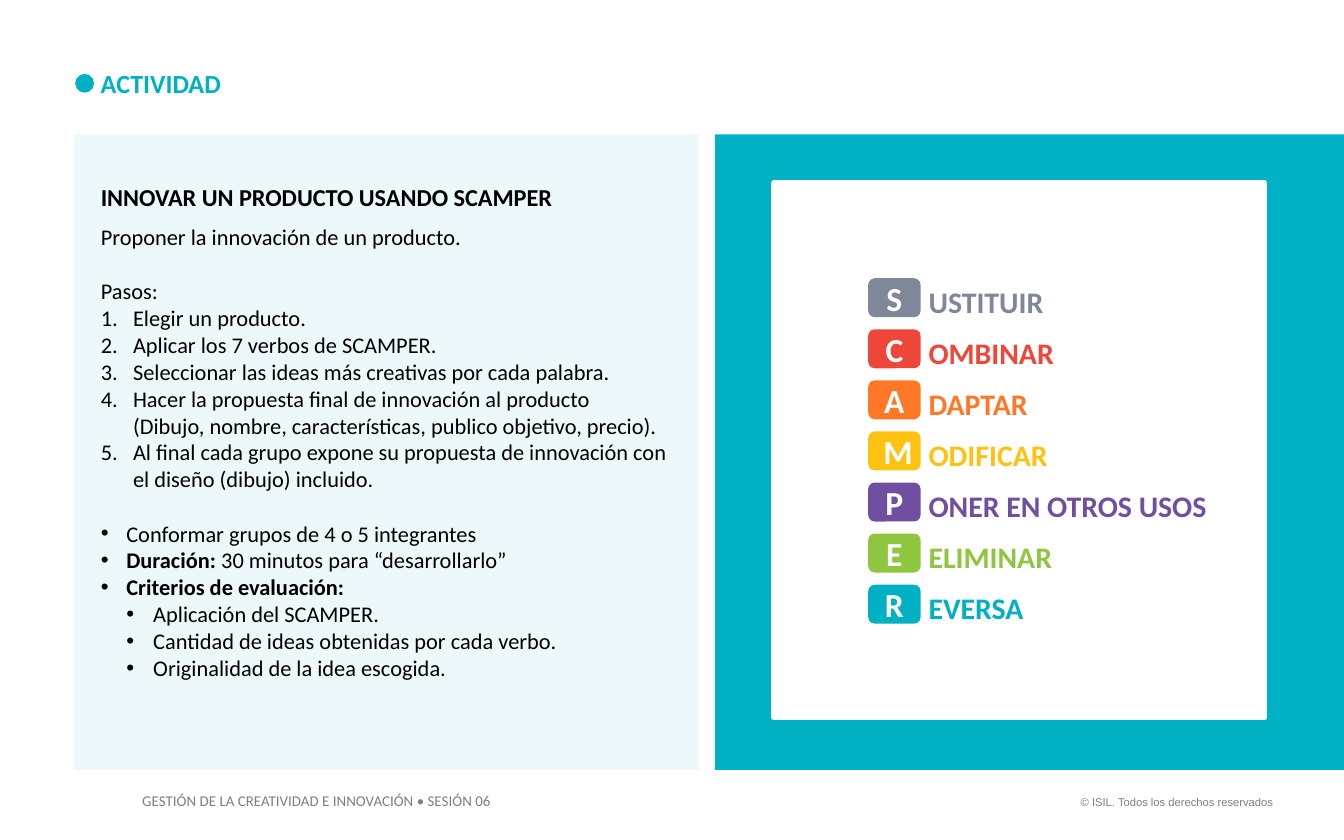
from dataclasses import dataclass
from typing import Optional

from lxml import etree
from pptx import Presentation
from pptx.dml.color import RGBColor
from pptx.enum.shapes import MSO_SHAPE
from pptx.enum.text import MSO_ANCHOR, PP_ALIGN
from pptx.oxml.ns import qn
from pptx.shapes.autoshape import Shape
from pptx.slide import Slide
from pptx.text.text import _Paragraph
from pptx.util import Emu, Pt

EMU_PER_PX = 9144  # 100 px to the inch
RECTANGLE, ROUNDED, OVAL = MSO_SHAPE.RECTANGLE, MSO_SHAPE.ROUNDED_RECTANGLE, MSO_SHAPE.OVAL
LEFT, CENTER, RIGHT = PP_ALIGN.LEFT, PP_ALIGN.CENTER, PP_ALIGN.RIGHT
MIDDLE = MSO_ANCHOR.MIDDLE

BLACK = RGBColor(0x00, 0x00, 0x00)
WHITE = RGBColor(0xFF, 0xFF, 0xFF)
GRAY = RGBColor(0x7F, 0x7F, 0x7F)
PANEL_TEAL = RGBColor(0x00, 0xB2, 0xC4)
TEAL = RGBColor(0x00, 0xB1, 0xC3)
PALE_BLUE = RGBColor(0xD1, 0xEF, 0xF4)
SLATE = RGBColor(0x80, 0x87, 0x99)
RED = RGBColor(0xEE, 0x46, 0x39)
ORANGE = RGBColor(0xFF, 0x78, 0x28)
YELLOW = RGBColor(0xFE, 0xC2, 0x12)
PURPLE = RGBColor(0x71, 0x4F, 0xA0)
GREEN = RGBColor(0x8E, 0xC6, 0x40)

BLANK_LINE = 14.65  # height of one 12 pt line, in points
VERB_TOP, VERB_PITCH = 207, 38


@dataclass(frozen=True)
class Box:
    left: int
    top: int
    width: int
    height: int


@dataclass(frozen=True)
class TextStyle:
    size: int
    color: RGBColor
    bold: bool = False
    font: str = "Calibri"
    align: PP_ALIGN = LEFT


@dataclass(frozen=True)
class ListStyle:
    margin: int
    hanging: int
    bullet: Optional[str] = None  # None numbers the items


@dataclass(frozen=True)
class Line:
    text: str
    list_style: Optional[ListStyle] = None
    lead: str = ""  # bold words before the text
    space_before: float = 0


@dataclass(frozen=True)
class Verb:
    initial: str
    rest: str
    color: RGBColor


HEADING = TextStyle(13, BLACK, bold=True)
BODY = TextStyle(12, BLACK)
STEP = ListStyle(24, 24)
POINT = ListStyle(19, 19, "•")
SUBPOINT = ListStyle(39, 20, "•")

LINES = [
    Line("Proponer la innovación de un producto.", space_before=6),
    Line("Pasos:", space_before=BLANK_LINE),
    Line("Elegir un producto.", STEP),
    Line("Aplicar los 7 verbos de SCAMPER.", STEP),
    Line("Seleccionar las ideas más creativas por cada palabra.", STEP),
    Line("Hacer la propuesta final de innovación al producto\n"
         "(Dibujo, nombre, características, publico objetivo, precio).", STEP),
    Line("Al final cada grupo expone su propuesta de innovación con "
         "el diseño (dibujo) incluido.", STEP),
    Line("Conformar grupos de 4 o 5 integrantes", POINT, space_before=BLANK_LINE),
    Line("30 minutos para “desarrollarlo”", POINT, lead="Duración: "),
    Line("", POINT, lead="Criterios de evaluación:"),
    Line("Aplicación del SCAMPER.", SUBPOINT),
    Line("Cantidad de ideas obtenidas por cada verbo.", SUBPOINT),
    Line("Originalidad de la idea escogida.", SUBPOINT),
]

VERBS = [
    Verb("S", "USTITUIR", SLATE),
    Verb("C", "OMBINAR", RED),
    Verb("A", "DAPTAR", ORANGE),
    Verb("M", "ODIFICAR", YELLOW),
    Verb("P", "ONER EN OTROS USOS", PURPLE),
    Verb("E", "ELIMINAR", GREEN),
    Verb("R", "EVERSA", TEAL),
]


def px(length: int) -> Emu:
    return Emu(length * EMU_PER_PX)


def place(box: Box) -> tuple[Emu, Emu, Emu, Emu]:
    return px(box.left), px(box.top), px(box.width), px(box.height)


def style_paragraph(paragraph: _Paragraph, style: TextStyle) -> None:
    paragraph.alignment = style.align
    font = paragraph.font
    font.name, font.size, font.bold = style.font, Pt(style.size), style.bold
    font.color.rgb = style.color


def add_filled_shape(slide: Slide, kind: MSO_SHAPE, box: Box, color: RGBColor) -> Shape:
    shape = slide.shapes.add_shape(kind, *place(box))
    shape.shadow.inherit = False
    shape.fill.solid()
    shape.fill.fore_color.rgb = color
    shape.line.fill.background()
    return shape


def add_text(slide: Slide, box: Box, text: str, style: TextStyle,
             inset_x: int = 0, inset_y: int = 0) -> Shape:
    shape = slide.shapes.add_textbox(*place(box))
    frame = shape.text_frame
    frame.word_wrap = True
    frame.margin_left = frame.margin_right = px(inset_x)
    frame.margin_top = frame.margin_bottom = px(inset_y)
    frame.text = text
    style_paragraph(frame.paragraphs[0], style)
    return shape


def set_opacity(shape: Shape, percent: int) -> None:
    color = shape.fill._xPr.find(qn("a:solidFill"))[0]
    etree.SubElement(color, qn("a:alpha"), val=str(percent * 1000))


def add_list_mark(paragraph: _Paragraph, style: ListStyle) -> None:
    properties = paragraph._p.get_or_add_pPr()
    properties.set("marL", str(px(style.margin)))
    properties.set("indent", str(-px(style.hanging)))
    mark_color = etree.SubElement(properties, qn("a:buClr"))
    etree.SubElement(mark_color, qn("a:srgbClr"), val=str(BLACK))
    etree.SubElement(properties, qn("a:buFont"), typeface="Arial" if style.bullet else "+mj-lt")
    if style.bullet:
        etree.SubElement(properties, qn("a:buChar"), char=style.bullet)
    else:
        etree.SubElement(properties, qn("a:buAutoNum"), type="arabicPeriod")


def add_line(shape: Shape, line: Line) -> None:
    paragraph = shape.text_frame.add_paragraph()
    paragraph.space_before = Pt(line.space_before)
    if line.list_style:
        add_list_mark(paragraph, line.list_style)
    style_paragraph(paragraph, BODY)
    if line.lead:
        lead = paragraph.add_run()
        lead.text = line.lead
        lead.font.bold = True
    if line.text:
        for index, part in enumerate(line.text.split("\n")):
            if index:
                paragraph.add_line_break()
            paragraph.add_run().text = part


def add_verb(slide: Slide, verb: Verb, top: int) -> None:
    badge = add_filled_shape(slide, ROUNDED, Box(646, top, 39, 29), verb.color)
    badge.adjustments[0] = 0.17
    badge.text_frame.text = verb.initial
    badge.text_frame.vertical_anchor = MIDDLE
    style_paragraph(badge.text_frame.paragraphs[0],
                    TextStyle(18, WHITE, bold=True, align=CENTER))
    add_text(slide, Box(691, top + 4, 226, 27), verb.rest, TextStyle(16, verb.color, bold=True))


def main() -> None:
    presentation = Presentation()
    presentation.slide_width, presentation.slide_height = px(1000), px(625)
    slide = presentation.slides.add_slide(presentation.slide_layouts[6])

    add_text(slide, Box(788, 587, 169, 20), "© ISIL. Todos los derechos reservados",
             TextStyle(6, GRAY, font="Arial", align=RIGHT), 10, 5)
    add_text(slide, Box(96, 584, 285, 24),
             "GESTIÓN DE LA CREATIVIDAD E INNOVACIÓN • SESIÓN 06", TextStyle(8, GRAY), 10, 5)

    title = add_text(slide, Box(75, 53, 100, 21), "ACTIVIDAD", TextStyle(14, TEAL, bold=True))
    title.text_frame.paragraphs[0].line_spacing = 0.9
    add_filled_shape(slide, OVAL, Box(56, 55, 14, 14), TEAL)

    activity_panel = add_filled_shape(slide, RECTANGLE, Box(55, 100, 465, 473), PALE_BLUE)
    set_opacity(activity_panel, 41)
    activity = add_text(slide, Box(75, 136, 425, 374),
                        "INNOVAR UN PRODUCTO USANDO SCAMPER", HEADING)
    for line in LINES:
        add_line(activity, line)

    add_filled_shape(slide, RECTANGLE, Box(532, 100, 468, 473), PANEL_TEAL)
    card = add_filled_shape(slide, RECTANGLE, Box(576, 136, 365, 398), WHITE)
    card.line.color.rgb = WHITE
    card.line.width = Pt(3)
    for index, verb in enumerate(VERBS):
        add_verb(slide, verb, VERB_TOP + index * VERB_PITCH)

    presentation.save("out.pptx")


if __name__ == "__main__":
    main()
